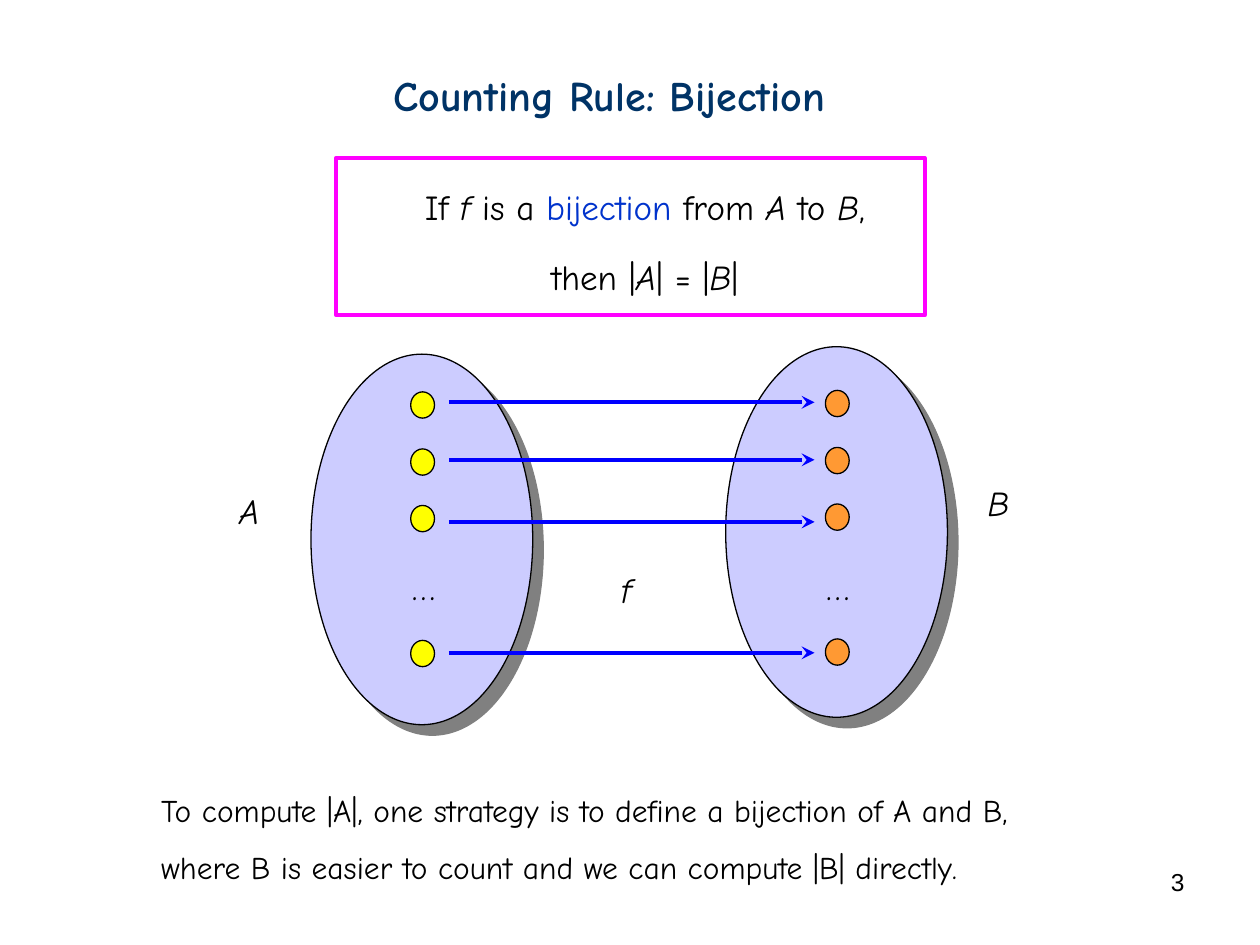
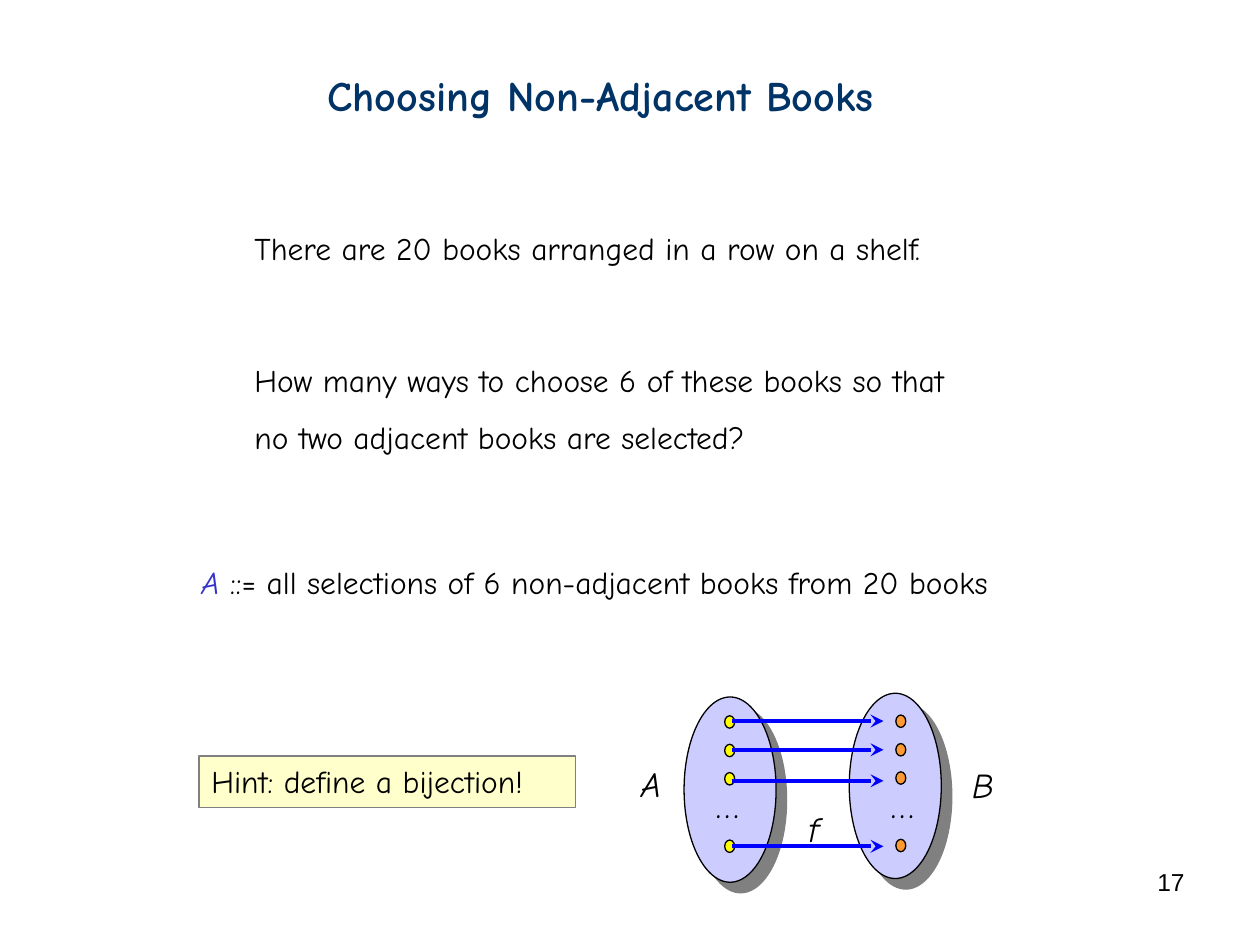
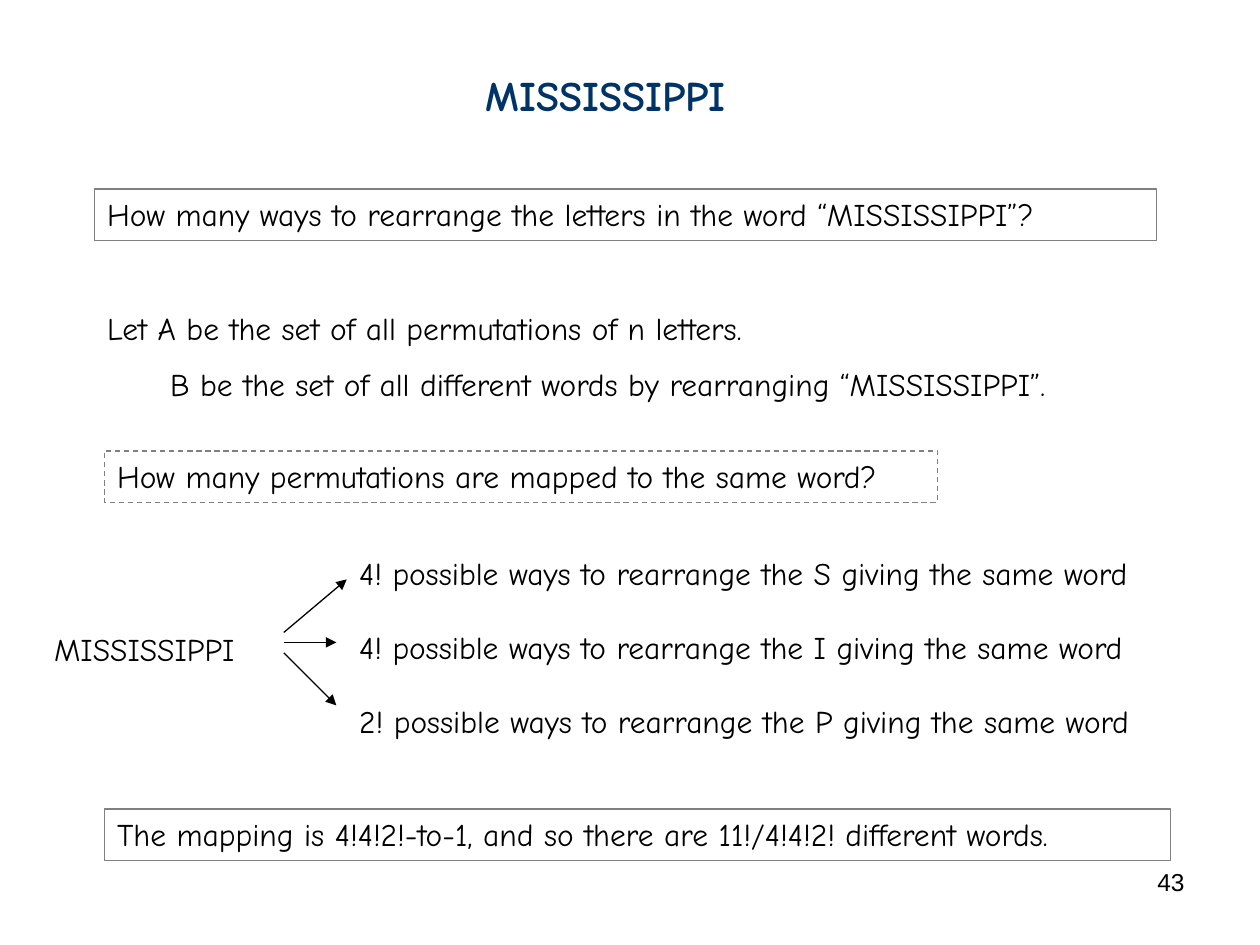
from dataclasses import dataclass
from typing import NamedTuple

from lxml import etree
from pptx import Presentation
from pptx.dml.color import RGBColor
from pptx.enum.dml import MSO_LINE
from pptx.enum.shapes import MSO_CONNECTOR, MSO_SHAPE
from pptx.enum.text import MSO_ANCHOR, MSO_AUTO_SIZE, PP_ALIGN
from pptx.oxml.ns import qn
from pptx.util import Cm, Pt

LEFT, CENTER, RIGHT = PP_ALIGN.LEFT, PP_ALIGN.CENTER, PP_ALIGN.RIGHT
TOP = MSO_ANCHOR.TOP
NO_AUTOFIT = MSO_AUTO_SIZE.NONE
DASH = MSO_LINE.DASH
OVAL, RECTANGLE = MSO_SHAPE.OVAL, MSO_SHAPE.RECTANGLE
STRAIGHT = MSO_CONNECTOR.STRAIGHT

COLORS = {
    "title": "003366",
    "text": "000000",
    "term": "0033CC",
    "set_name": "3333CC",
    "rule_border": "FF00FF",
    "box_border": "808080",
    "hint": "FFFFCC",
    "set": "CCCCFF",
    "shadow": "808080",
    "domain": "FFFF00",
    "codomain": "FF9933",
    "arrow": "0000FF",
}
BODY_FONT = "Comic Neue"
NUMBER_FONT = "Arial"

SET_WIDTH, SET_HEIGHT = 4.47, 7.47
SET_B_RISE = 0.15
DOT_B_RISE = 0.03
DOT_TOPS = (0.76, 1.91, 3.05, 5.77)
ARROW_TOPS = (0.97, 2.13, 3.38, 6.02)


class Span(NamedTuple):
    text: str
    color: str = "text"
    italic: bool = False


class Place(NamedTuple):
    left: float
    top: float
    width: float
    height: float


class Label(NamedTuple):
    text: str
    left: float
    top: float


@dataclass
class Line:
    spans: list[Span]
    spacing: float = 1
    before: float = 0
    indent: float = 0


@dataclass
class Box:
    place: Place
    lines: list[Line]
    size: float = 18
    align: PP_ALIGN = LEFT
    font: str = BODY_FONT
    fill: str | None = None
    border: str | None = None
    dashed: bool = False


@dataclass
class Mapping:
    top: float
    set_lefts: tuple[float, float]
    dot_lefts: tuple[float, float]
    dot_size: tuple[float, float]
    arrow_ends: tuple[float, float]
    width_scale: float
    height_scale: float
    labels: list[Label]


def rgb(name: str) -> RGBColor:
    return RGBColor.from_string(COLORS[name])


def plain(text: str, **options) -> Line:
    return Line([Span(text)], **options)


def lengths(place: Place) -> list[Cm]:
    return [Cm(value) for value in place]


def add_title(presentation, text: str, left: float, width: float):
    slide = presentation.slides.add_slide(presentation.slide_layouts[5])
    title = slide.shapes.title
    title.left, title.top, title.width, title.height = lengths(
        Place(left, 1.27, width, 1.27))
    frame = title.text_frame
    frame.text = text
    frame.word_wrap = True
    frame.auto_size = NO_AUTOFIT
    frame.vertical_anchor = TOP
    paragraph = frame.paragraphs[0]
    paragraph.alignment = LEFT
    font = paragraph.font
    font.name, font.size, font.bold = BODY_FONT, Pt(24), True
    font.color.rgb = rgb("title")
    return slide


def add_box(slide, box: Box) -> None:
    shape = slide.shapes.add_textbox(*lengths(box.place))
    if box.fill:
        shape.fill.solid()
        shape.fill.fore_color.rgb = rgb(box.fill)
    if box.border:
        shape.line.color.rgb = rgb(box.border)
        shape.line.width = Pt(0.75)
        if box.dashed:
            shape.line.dash_style = DASH
    frame = shape.text_frame
    frame.word_wrap = True
    frame.vertical_anchor = TOP
    for index, line in enumerate(box.lines):
        paragraph = frame.add_paragraph() if index else frame.paragraphs[0]
        paragraph.alignment = box.align
        paragraph.line_spacing = line.spacing
        if line.before:
            paragraph.space_before = Pt(line.before)
        if line.indent:
            paragraph._p.get_or_add_pPr().set("marL", str(Cm(line.indent)))
        font = paragraph.font
        font.name, font.size = box.font, Pt(box.size)
        font.color.rgb = rgb("text")
        for span in line.spans:
            run = paragraph.add_run()
            run.text = span.text
            if span.italic:
                run.font.italic = True
            if span.color != "text":
                run.font.color.rgb = rgb(span.color)


def add_page_number(slide, number: int) -> None:
    add_box(slide, Box(Place(18.21, 17.35, 5.92, 1.32), [plain(str(number))],
                       size=14, align=RIGHT, font=NUMBER_FONT))


def add_oval(slide, place: Place, fill: str):
    shape = slide.shapes.add_shape(OVAL, *lengths(place))
    shape.shadow.inherit = False
    shape.fill.solid()
    shape.fill.fore_color.rgb = rgb(fill)
    shape.line.color.rgb = rgb("text")
    shape.line.width = Pt(0.75)
    return shape


def add_set(slide, place: Place) -> None:
    effects = add_oval(slide, place, "set")._element.spPr.find(qn("a:effectLst"))
    shadow = etree.SubElement(effects, qn("a:outerShdw"), dist=str(Pt(8.5)),
                              dir="2700000", algn="ctr", rotWithShape="0")
    etree.SubElement(shadow, qn("a:srgbClr"), val=COLORS["shadow"])


def add_arrow(slide, start: tuple[float, float], end: tuple[float, float],
              color: str, width: float, head: str) -> None:
    connector = slide.shapes.add_connector(
        STRAIGHT, *(Cm(value) for value in (*start, *end)))
    connector.line.color.rgb = rgb(color)
    connector.line.width = Pt(width)
    etree.SubElement(connector.line._get_or_add_ln(), qn("a:tailEnd"), type=head)
    etree.SubElement(connector._element.spPr, qn("a:effectLst"))


def add_mapping(slide, mapping: Mapping) -> None:
    scale = mapping.height_scale
    for left, rise in zip(mapping.set_lefts, (0, SET_B_RISE)):
        add_set(slide, Place(left, mapping.top - rise * scale,
                             SET_WIDTH * mapping.width_scale, SET_HEIGHT * scale))
    for left, rise, color in zip(mapping.dot_lefts, (0, DOT_B_RISE),
                                 ("domain", "codomain")):
        for top in DOT_TOPS:
            add_oval(slide, Place(left, mapping.top + (top - rise) * scale,
                                  *mapping.dot_size), color)
    start, end = mapping.arrow_ends
    for arrow_top in ARROW_TOPS:
        y = mapping.top + arrow_top * scale
        add_arrow(slide, (start, y), (end, y), "arrow", 2.5, "stealth")
    for label in mapping.labels:
        ellipsis = label.text == "…"
        add_box(slide, Box(Place(label.left, label.top, 1.02, 1.09),
                           [Line([Span(label.text, italic=not ellipsis)])],
                           size=20, align=CENTER if ellipsis else LEFT))


def build_bijection_rule(presentation) -> None:
    slide = add_title(presentation, "Counting Rule: Bijection", 7.67, 10.24)
    add_box(slide, Box(Place(1.47, 3.61, 23.06, 2.54), [
        Line([Span("If "), Span("f", italic=True), Span(" is a "),
              Span("bijection", "term"), Span(" from "), Span("A", italic=True),
              Span(" to "), Span("B", italic=True), Span(",")]),
        Line([Span("then |"), Span("A", italic=True), Span("| = |"),
              Span("B", italic=True), Span("|")], spacing=1.5, before=4),
    ], size=20, align=CENTER))
    add_mapping(slide, Mapping(
        top=7.14, set_lefts=(6.27, 14.63), dot_lefts=(8.28, 16.64),
        dot_size=(0.48, 0.53), arrow_ends=(9.05, 16.42),
        width_scale=1, height_scale=1,
        labels=[Label("A", 4.57, 9.75), Label("B", 19.66, 9.58),
                Label("…", 8.03, 11.28), Label("…", 16.38, 11.28),
                Label("f", 12.27, 11.33)]))
    frame = slide.shapes.add_shape(RECTANGLE, *lengths(Place(6.78, 3.18, 11.86, 3.18)))
    frame.shadow.inherit = False
    frame.fill.background()
    frame.line.color.rgb = rgb("rule_border")
    frame.line.width = Pt(2.25)
    add_box(slide, Box(Place(3, 15.82, 19.66, 2.16), [
        plain("To compute |A|, one strategy is to define a bijection of A and B,"),
        plain("where B is easier to count and we can compute |B| directly.",
              spacing=1.5),
    ]))
    add_page_number(slide, 3)


def build_book_choice(presentation) -> None:
    slide = add_title(presentation, "Choosing Non-Adjacent Books", 6.35, 12.75)
    boxes = [
        Box(Place(4.88, 4.5, 15.75, 4.83), [
            plain("There are 20 books arranged in a row on a shelf."),
            plain("How many ways to choose 6 of these books so that",
                  spacing=1.5, before=43),
            plain("no two adjacent books are selected?", spacing=1.5),
        ]),
        Box(Place(4.01, 15.24, 7.59, 1.04), [plain("Hint: define a bijection!")],
            fill="hint", border="box_border"),
        Box(Place(3.81, 11.23, 17.98, 1.02), [
            Line([Span("A ", "set_name", True),
                  Span("::= all selections of 6 non-adjacent books from 20 books")]),
        ]),
    ]
    for box in boxes:
        add_box(slide, box)
    add_mapping(slide, Mapping(
        top=14.05, set_lefts=(13.79, 17.12), dot_lefts=(14.61, 18.06),
        dot_size=(0.2, 0.25), arrow_ends=(14.75, 17.81),
        width_scale=0.415, height_scale=0.5,
        labels=[Label("A", 12.67, 15.24), Label("B", 19.35, 15.27),
                Label("…", 14.15, 15.67), Label("…", 17.68, 15.67),
                Label("f", 16.05, 16.15)]))
    add_page_number(slide, 17)


def build_word_arrangements(presentation) -> None:
    slide = add_title(presentation, "MISSISSIPPI", 9.53, 6.35)
    boxes = [
        Box(Place(1.91, 3.81, 21.41, 1.04),
            [plain("How many ways to rearrange the letters in the word “MISSISSIPPI”?")],
            border="box_border"),
        Box(Place(1.91, 6.1, 21.72, 2.16), [
            plain("Let A be the set of all permutations of n letters."),
            plain("B be the set of all different words by rearranging “MISSISSIPPI”.",
                  spacing=1.5, indent=1.27),
        ]),
        Box(Place(2.11, 9.09, 16.79, 1.04),
            [plain("How many permutations are mapped to the same word?")],
            border="box_border", dashed=True),
        Box(Place(0.84, 12.57, 4.9, 1.02), [plain("MISSISSIPPI")]),
        Box(Place(2.11, 16.31, 21.49, 1.04),
            [plain("The mapping is 4!4!2!-to-1, and so there are 11!/4!4!2! different words.")],
            border="box_border"),
    ]
    for index, (count, letter) in enumerate([(4, "S"), (4, "I"), (2, "P")]):
        text = f"{count}! possible ways to rearrange the {letter} giving the same word"
        boxes.append(Box(Place(6.99, 11.05 + 1.485 * index, 17.32, 1.02), [plain(text)]))
    for box in boxes:
        add_box(slide, box)
    for start_y, end in [(12.75, (6.99, 11.68)), (12.95, (6.78, 12.95)),
                         (13.16, (6.78, 14.22))]:
        add_arrow(slide, (5.72, start_y), end, "text", 0.75, "triangle")
    add_page_number(slide, 43)


def main() -> None:
    presentation = Presentation()
    presentation.slide_width, presentation.slide_height = Cm(25.4), Cm(19.05)
    build_bijection_rule(presentation)
    build_book_choice(presentation)
    build_word_arrangements(presentation)
    presentation.save("out.pptx")


if __name__ == "__main__":
    main()
